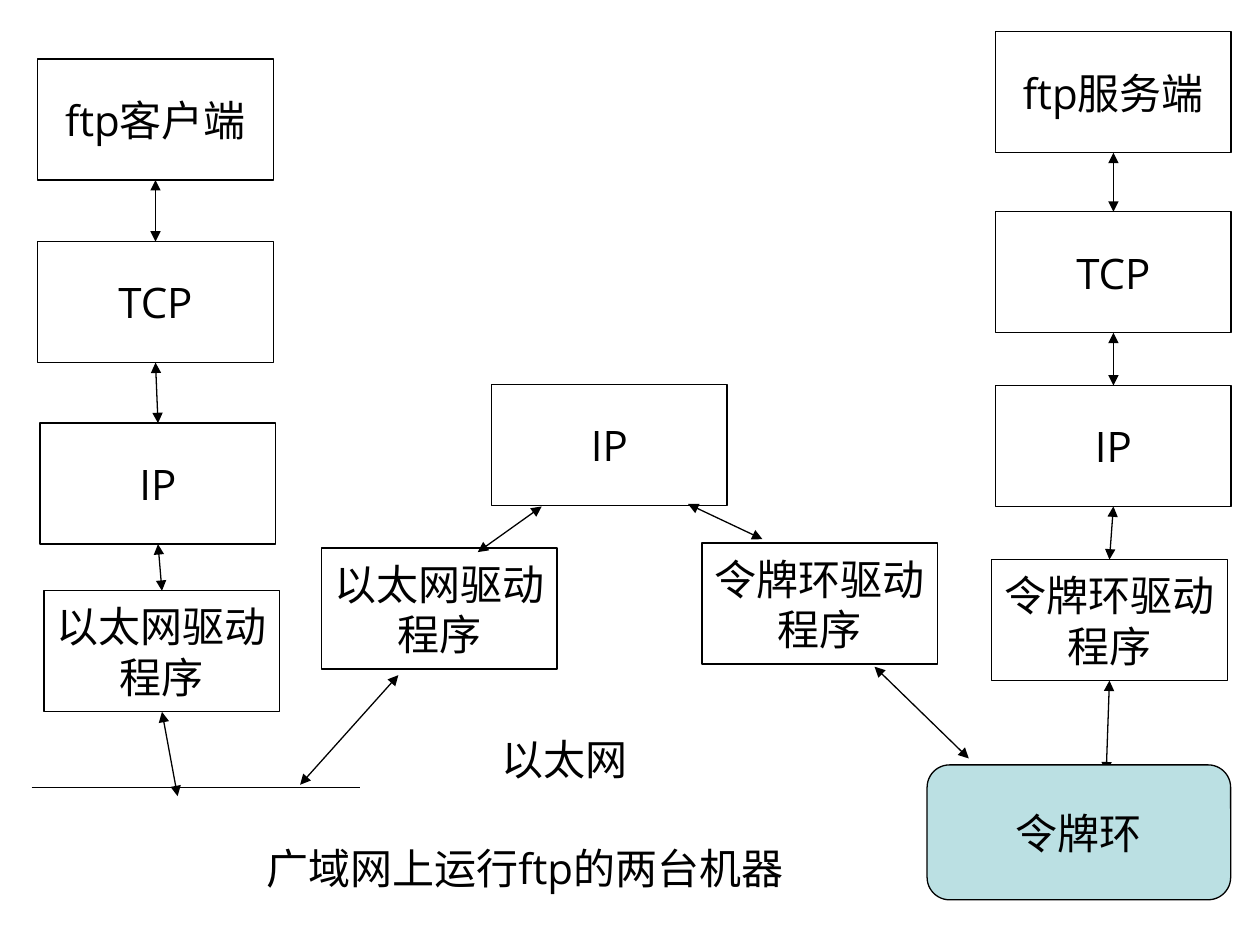
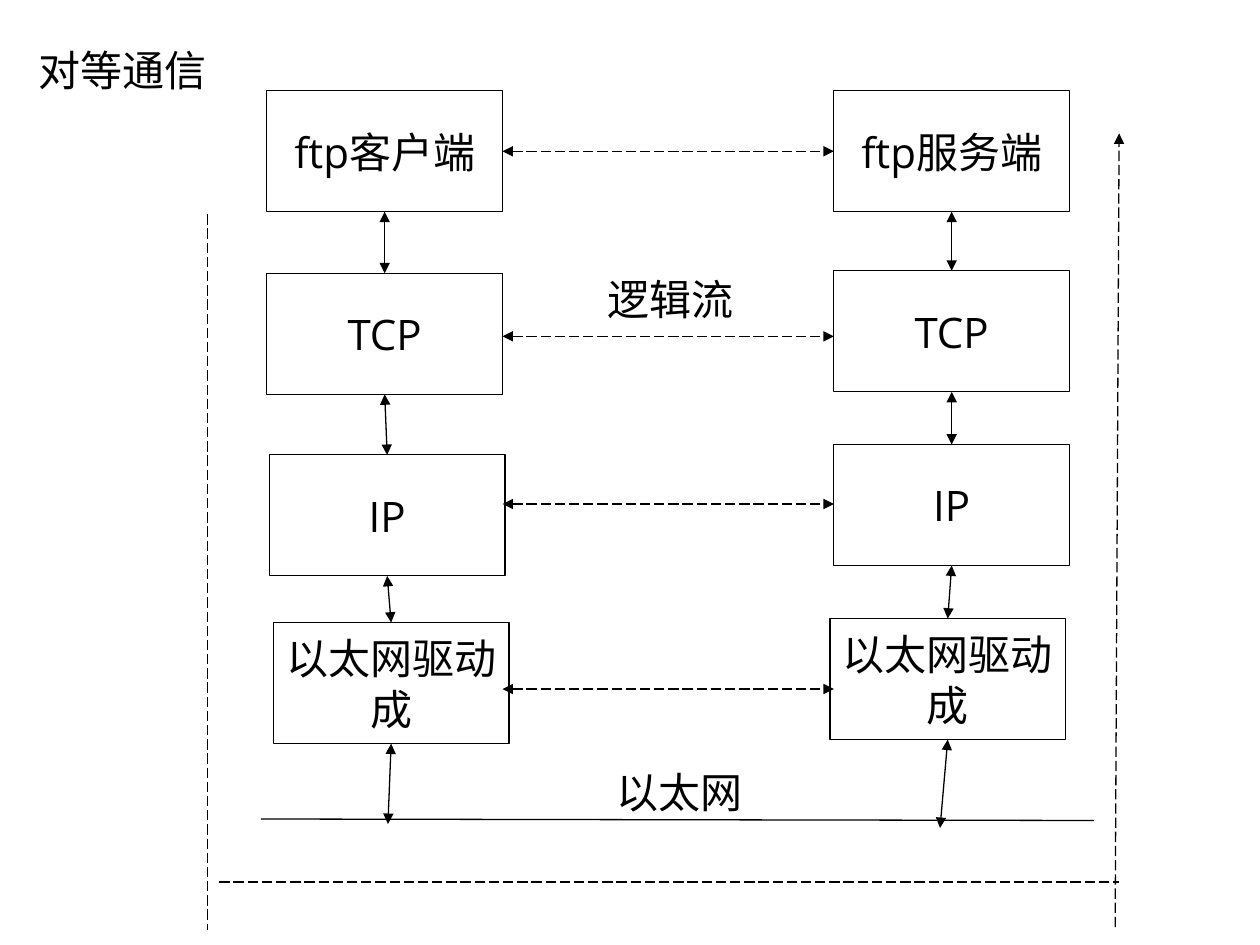
from lxml import etree
from pptx import Presentation
from pptx.dml.color import RGBColor
from pptx.enum.dml import MSO_LINE
from pptx.enum.shapes import MSO_CONNECTOR, MSO_SHAPE
from pptx.enum.text import MSO_ANCHOR, PP_ALIGN
from pptx.oxml.ns import qn
from pptx.util import Cm, Pt

STRAIGHT = MSO_CONNECTOR.STRAIGHT
RECTANGLE, ROUNDED = MSO_SHAPE.RECTANGLE, MSO_SHAPE.ROUNDED_RECTANGLE
LONG_DASH = MSO_LINE.LONG_DASH
CENTER, MIDDLE = PP_ALIGN.CENTER, MSO_ANCHOR.MIDDLE

BLACK = RGBColor(0x00, 0x00, 0x00)
RING_BLUE = RGBColor(0xBB, 0xE0, 0xE3)
FONT = "Open Sans"
FONT_SIZE = Pt(24)
LINE_WIDTH = Pt(0.75)

# All lengths below are centimetres
SLIDE_SIZE = (25.4, 19.05)
BOX_WIDTH, BOX_HEIGHT = 4.75, 2.44

# Offsets of the four layers from the top left corner of a protocol stack
CLIENT_LAYERS = [(0, 0), (0, 3.68), (0.05, 7.34), (0.13, 10.72)]
SERVER_LAYERS = [(0, 0), (0, 3.63), (0, 7.13), (-0.08, 10.64)]

# Stack: origin, layer offsets, (application, driver), where the last arrow ends
# Line: x1, y1, x2, y2
INTERNET = {
    "stacks": [
        ((0.76, 1.19), CLIENT_LAYERS, ("ftp客户端", "以太网驱动程序"), (3.58, 16.05)),
        ((20.07, 0.64), SERVER_LAYERS, ("ftp服务端", "令牌环驱动程序"), (22.3, 15.57)),
    ],
    "router": [("IP", 9.91, 7.75), ("以太网驱动程序", 6.48, 11.05),
               ("令牌环驱动程序", 14.15, 10.95)],
    "ring": ("令牌环", 18.69, 15.42, 6.12, 2.72),
    "labels": [("以太网", 9.04, 14.3, 4.7, 2.01),
               ("广域网上运行ftp的两台机器", 0.18, 16.48, 20.8, 2.01)],
    "ethernet": (0.64, 15.88, 7.26, 15.88),
    "router_links": [(17.63, 13.44, 19.53, 15.29), (6.05, 15.82, 8.03, 13.61),
                     (10.92, 10.21, 9.63, 11.13), (13.87, 10.16, 15.37, 10.87)],
}
PEERS = {
    "stacks": [
        ((5.38, 1.83), CLIENT_LAYERS, ("ftp客户端", "以太网驱动成"), (7.82, 16.61)),
        ((16.81, 1.83), SERVER_LAYERS, ("ftp服务端", "以太网驱动成"), (18.95, 16.69)),
    ],
    "labels": [("以太网", 11.35, 14.94, 4.7, 2.03),
               ("对等通信", 0.23, 0.41, 4.5, 2.01),
               ("逻辑流", 11.63, 4.7, 3.78, 2.64)],
    "ethernet": (5.26, 16.51, 22.05, 16.54),
    "logical_flow_x": (10.13, 16.81),
    "logical_flow_y": [3.05, 6.78, 10.16, 13.89],
    "frame": [(4.19, 4.32, 4.19, 18.75), (4.42, 17.78, 22.56, 17.78)],
    "frame_arrow": (22.48, 18.69, 22.56, 2.69),
}


def write_text(shape, text):
    frame = shape.text_frame
    frame.word_wrap = True
    frame.vertical_anchor = MIDDLE
    paragraph = frame.paragraphs[0]
    paragraph.alignment = CENTER
    run = paragraph.add_run()
    run.text = text
    run.font.name = FONT
    run.font.size = FONT_SIZE
    run.font.color.rgb = BLACK
    east_asian = etree.SubElement(run.font._element, qn("a:ea"))
    east_asian.set("typeface", FONT)


def add_box(slide, text, left, top, width=BOX_WIDTH, height=BOX_HEIGHT,
            kind=RECTANGLE, fill=None):
    shape = slide.shapes.add_shape(kind, Cm(left), Cm(top), Cm(width), Cm(height))
    shape.shadow.inherit = False
    if fill is None:
        shape.fill.background()
    else:
        shape.fill.solid()
        shape.fill.fore_color.rgb = fill
    shape.line.color.rgb = BLACK
    shape.line.width = LINE_WIDTH
    write_text(shape, text)


def add_label(slide, text, *bounds):
    write_text(slide.shapes.add_textbox(*map(Cm, bounds)), text)


def add_line(slide, points, heads=(), dashed=False):
    """heads names the arrow ends: headEnd at the start, tailEnd at the end."""
    connector = slide.shapes.add_connector(STRAIGHT, *map(Cm, points))
    connector.line.color.rgb = BLACK
    connector.line.width = LINE_WIDTH
    if dashed:
        connector.line.dash_style = LONG_DASH
    outline = connector.line._get_or_add_ln()
    for head in heads:
        etree.SubElement(outline, qn(f"a:{head}")).set("type", "triangle")
    etree.SubElement(connector._element.spPr, qn("a:effectLst"))


def add_double_arrow(slide, points, dashed=False):
    add_line(slide, points, ("headEnd", "tailEnd"), dashed)


def add_stack(slide, origin, layers, names, wire_end):
    application, driver = names
    corners = [(origin[0] + x, origin[1] + y) for x, y in layers]
    for text, corner in zip((application, "TCP", "IP", driver), corners):
        add_box(slide, text, *corner)
    # Each layer is joined to the next, and the driver to the wire
    tops = [(x + BOX_WIDTH / 2, y) for x, y in corners]
    for (x, y), end in zip(tops, tops[1:] + [wire_end]):
        add_double_arrow(slide, (x, y + BOX_HEIGHT, *end))


def add_network_slide(presentation, content):
    """Parts that both slides share: two stacks, the Ethernet line and labels."""
    slide = presentation.slides.add_slide(presentation.slide_layouts[6])
    for stack in content["stacks"]:
        add_stack(slide, *stack)
    add_line(slide, content["ethernet"])
    for label in content["labels"]:
        add_label(slide, *label)
    return slide


def build_internet(presentation):
    slide = add_network_slide(presentation, INTERNET)
    add_box(slide, *INTERNET["ring"], kind=ROUNDED, fill=RING_BLUE)
    for box in INTERNET["router"]:
        add_box(slide, *box)
    for link in INTERNET["router_links"]:
        add_double_arrow(slide, link)


def build_peers(presentation):
    slide = add_network_slide(presentation, PEERS)
    left, right = PEERS["logical_flow_x"]
    for y in PEERS["logical_flow_y"]:
        add_double_arrow(slide, (left, y, right, y), dashed=True)
    for side in PEERS["frame"]:
        add_line(slide, side, dashed=True)
    add_line(slide, PEERS["frame_arrow"], ("tailEnd",), dashed=True)


def main():
    presentation = Presentation()
    presentation.slide_width, presentation.slide_height = map(Cm, SLIDE_SIZE)
    build_internet(presentation)
    build_peers(presentation)
    presentation.save("out.pptx")


if __name__ == "__main__":
    main()
